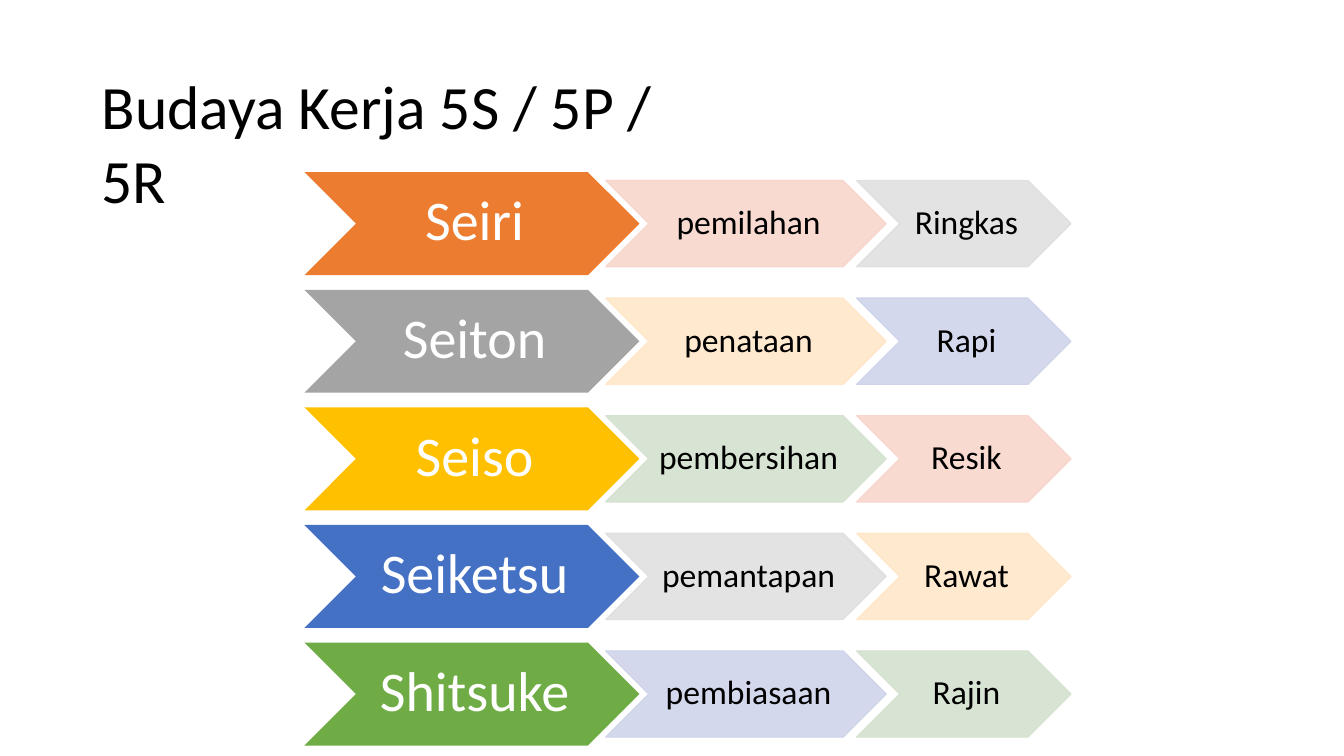
import pptx
import pptx.util
import pptx.dml.color
import pptx.enum.shapes
import pptx.enum.text
import pptx.oxml.ns
import lxml.etree

RGBColor = pptx.dml.color.RGBColor
BLACK = RGBColor(0x00, 0x00, 0x00)
WHITE = RGBColor(0xFF, 0xFF, 0xFF)
ORANGE = RGBColor(0xEC, 0x7C, 0x30)
GREY = RGBColor(0xA4, 0xA4, 0xA4)
GOLD = RGBColor(0xFF, 0xC0, 0x00)
BLUE = RGBColor(0x44, 0x71, 0xC4)
GREEN = RGBColor(0x6F, 0xAC, 0x46)
PALE_PINK = RGBColor(0xF8, 0xD6, 0xCD)
PALE_GREY = RGBColor(0xE0, 0xE0, 0xE0)
PALE_GOLD = RGBColor(0xFF, 0xE8, 0xCA)
PALE_BLUE = RGBColor(0xCF, 0xD4, 0xEA)
PALE_GREEN = RGBColor(0xD4, 0xE2, 0xCF)

PALES = [PALE_PINK, PALE_GOLD, PALE_GREEN, PALE_GREY, PALE_BLUE]
ROWS = [
    ("Seiri", "pemilahan", "Ringkas", ORANGE),
    ("Seiton", "penataan", "Rapi", GREY),
    ("Seiso", "pembersihan", "Resik", GOLD),
    ("Seiketsu", "pemantapan", "Rawat", BLUE),
    ("Shitsuke", "pembiasaan", "Rajin", GREEN),
]
ROW_PITCH = 112


def px(n):
    return pptx.util.Emu(n * 9525)


def write(tf, text, size, color, margins):
    tf.margin_left, tf.margin_top, tf.margin_right, tf.margin_bottom = map(px, margins)
    tf.text = text
    font = tf.paragraphs[0].runs[0].font
    font.name = "Calibri"
    font.size = pptx.util.Pt(size)
    font.color.rgb = color


def add_title(s, x, y, w, h):
    tf = s.shapes.add_textbox(px(x), px(y), px(w), px(h)).text_frame
    tf.word_wrap = True
    write(tf, "Budaya Kerja 5S / 5P / 5R", 44, BLACK, (1, 1, 0, 0))
    tf.paragraphs[0].space_before = pptx.util.Pt(1.1)


def add_chevron(s, x, y, w, h, text, size, color, fill, drop):
    sp = s.shapes.add_shape(
        pptx.enum.shapes.MSO_SHAPE.CHEVRON, px(x), px(y), px(w), px(h))
    sp.shadow.inherit = False
    sp.fill.solid()
    sp.fill.fore_color.rgb = fill
    sp.line.fill.background()
    tf = sp.text_frame
    tf.word_wrap = False
    tf.vertical_anchor = pptx.enum.text.MSO_ANCHOR.MIDDLE
    write(tf, text, size, color, (5, 0, 0, drop))
    tf.paragraphs[0].alignment = pptx.enum.text.PP_ALIGN.CENTER
    return sp


def add_pale_chevron(s, x, y, w, h, text, fill):
    sp = add_chevron(s, x, y, w, h, text, 24, BLACK, fill, 5)
    qn = pptx.oxml.ns.qn
    srgb = sp._element.spPr.find(qn("a:solidFill")).find(qn("a:srgbClr"))
    lxml.etree.SubElement(srgb, qn("a:alpha")).set("val", "90000")
    sp.line.color.rgb = fill
    sp.line.width = pptx.util.Pt(0.96)


def add_row(s, x, y, i, row):
    japanese, process, short, fill = row
    add_chevron(s, x, y, 319, 98, japanese, 40, WHITE, fill, 10)
    add_pale_chevron(s, x + 287, y + 8, 267, 82, process, PALES[i])
    add_pale_chevron(s, x + 526, y + 8, 204, 82, short, PALES[(i + 3) % 5])


def add_rows(s, x, y):
    for i, row in enumerate(ROWS):
        add_row(s, x, y + i * ROW_PITCH, i, row)


def main():
    prs = pptx.Presentation()
    prs.slide_width, prs.slide_height = px(1280), px(720)
    s = prs.slides.add_slide(prs.slide_layouts[6])
    add_title(s, 96, 64, 592, 73)
    add_rows(s, 290, 164)
    prs.save("out.pptx")


if __name__ == "__main__":
    main()
